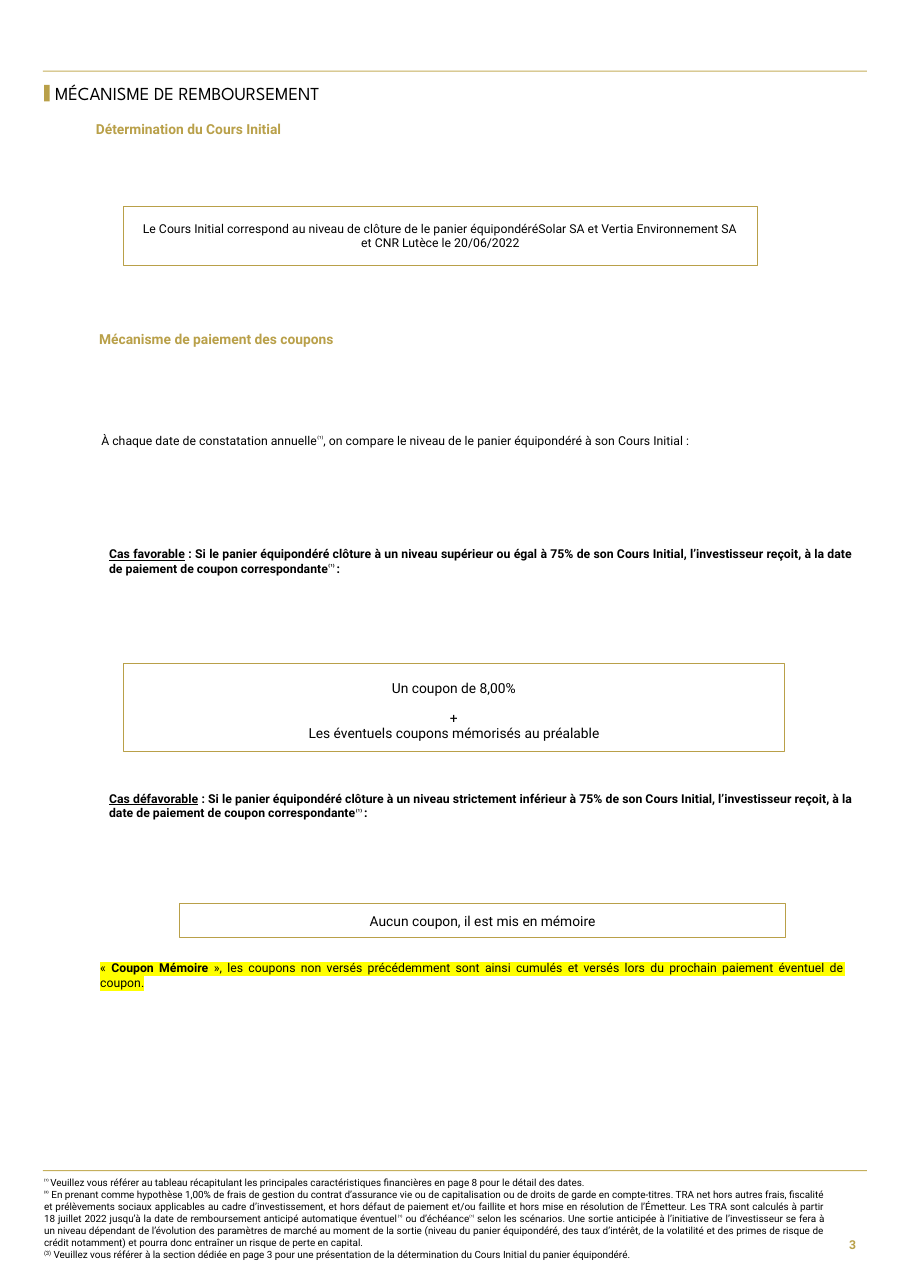
from dataclasses import dataclass

from lxml.etree import SubElement
from pptx import Presentation
from pptx.dml.color import RGBColor
from pptx.enum.shapes import MSO_SHAPE
from pptx.enum.text import MSO_ANCHOR as Anchor, MSO_AUTO_SIZE, PP_ALIGN as Align
from pptx.oxml.ns import qn
from pptx.util import Emu, Pt

PX = 9144
GOLD = RGBColor(0xB9, 0xA0, 0x49)
PALE_GOLD = RGBColor(0xC5, 0xAF, 0x5C)
BLACK = RGBColor(0, 0, 0)
WHITE = RGBColor(255, 255, 255)
YELLOW = RGBColor(255, 255, 0)


@dataclass(frozen=True)
class Span:
    text: str
    bold: bool = False
    underline: bool = False
    raised: bool = False


@dataclass(frozen=True)
class Bar:
    place: tuple[int, int, int, int]
    color: RGBColor


@dataclass(frozen=True)
class Block:
    place: tuple[int, int, int, int]
    paragraphs: list[list[Span]]
    size: float = 8
    color: RGBColor = BLACK
    font: str = "Roboto"
    align: Align = Align.JUSTIFY
    anchor: Anchor = Anchor.TOP
    margins: tuple[int, int, int, int] = (0, 0, 0, 0)
    line_spacing: float = 1.0
    gaps: tuple[int, ...] = ()
    border: float = 0
    highlight: RGBColor | None = None


def scaled(lengths: tuple[int, ...]) -> list[Emu]:
    """Turn px lengths into EMU."""
    return [Emu(length * PX) for length in lengths]


def note(text: str = "⁽¹⁾") -> Span:
    """Return a raised footnote mark."""
    return Span(text, raised=True)


def case(name: str, condition: str) -> list[list[Span]]:
    """Return the sentence that introduces one coupon case."""
    sentence = (f" : Si le panier équipondéré clôture à un niveau {condition} à 75% de son Cours Initial, "
                "l’investisseur reçoit, à la date de paiement de coupon correspondante")
    return [[Span(name, bold=True, underline=True), Span(sentence, bold=True),
             Span("⁽¹⁾ ", bold=True, raised=True), Span(":", bold=True)]]


def framed(place: tuple[int, int, int, int], texts: list[str], size: float = 9, border: float = 0.75,
           margins: tuple[int, int, int, int] = (12, 8, 12, 8), line_spacing: float = 1.0,
           gaps: tuple[int, ...] = ()) -> Block:
    """Return a centred block with a gold border."""
    return Block(place, [[Span(text)] for text in texts], size, align=Align.CENTER, anchor=Anchor.MIDDLE,
                 margins=margins, line_spacing=line_spacing, gaps=gaps, border=border)


BARS = [
    Bar((39, 64, 748, 1), PALE_GOLD),
    Bar((39, 1062, 748, 1), PALE_GOLD),
    Bar((40, 77, 5, 15), GOLD),
]

FOOTNOTES = [
    [note("⁽¹⁾ "), Span("Veuillez vous référer au tableau récapitulant les principales caractéristiques "
                        "financières en page 8 pour le détail des dates.")],
    [note("⁽²⁾"),
     Span(" En prenant comme hypothèse 1,00% de frais de gestion du contrat d’assurance vie ou de "
          "capitalisation ou de droits de garde en compte-titres. TRA net hors autres frais, fiscalité et "
          "prélèvements sociaux applicables au cadre d’investissement, et hors défaut de paiement et/ou "
          "faillite et hors mise en résolution de l’Émetteur. Les TRA sont calculés à partir 18 juillet 2022 "
          "jusqu’à la date de remboursement anticipé automatique éventuel"),
     note(), Span(" ou d’échéance"), note(),
     Span(" selon les scénarios. Une sortie anticipée à l’initiative de l’investisseur se fera à un niveau "
          "dépendant de l’évolution des paramètres de marché au moment de la sortie (niveau du panier "
          "équipondéré, des taux d’intérêt, de la volatilité et des primes de risque de crédit notamment) "
          "et pourra donc entraîner un risque de perte en capital.")],
    [note("(3)"), Span(" Veuillez vous référer à la section dédiée en page 3 pour une présentation de la "
                       "détermination du Cours Initial du panier équipondéré.")],
]

BLOCKS = [
    Block((748, 1109, 39, 42), [[Span("3", bold=True)]], color=GOLD, align=Align.RIGHT,
          anchor=Anchor.MIDDLE, margins=(10, 5, 10, 5)),
    Block((40, 1068, 709, 77), FOOTNOTES, 6.5),
    Block((50, 73, 421, 25), [[Span("MÉCANISME DE REMBOURSEMENT")]], 12, font="League Spartan",
          align=Align.LEFT, anchor=Anchor.MIDDLE, line_spacing=0.9),
    Block((87, 110, 298, 18), [[Span("Détermination du Cours Initial", bold=True)]], 9, GOLD,
          align=Align.LEFT),
    framed((112, 187, 576, 54),
           ["Le Cours Initial correspond au niveau de clôture de le panier équipondéréSolar SA et Vertia "
            "Environnement SA et CNR Lutèce le 20/06/2022"], size=8, border=0.5),
    Block((90, 300, 658, 17), [[Span("Mécanisme de paiement des coupons", bold=True)]], 9, GOLD),
    Block((92, 393, 657, 13),
          [[Span("À chaque date de constatation annuelle"), note(),
            Span(", on compare le niveau de le panier équipondéré à son Cours Initial :")]]),
    Block((99, 496, 676, 27), case("Cas favorable", "supérieur ou égal")),
    framed((112, 602, 600, 80), ["Un coupon de 8,00%", "+", "Les éventuels coupons mémorisés au préalable"],
           margins=(12, 15, 12, 8), line_spacing=0.9, gaps=(0, 10, 0)),
    Block((99, 718, 676, 27), case("Cas défavorable", "strictement inférieur")),
    framed((163, 820, 550, 31), ["Aucun coupon, il est mis en mémoire"]),
    Block((91, 872, 676, 27),
          [[Span("« "), Span("Coupon Mémoire ", bold=True),
            Span("», les coupons non versés précédemment sont ainsi cumulés et versés lors du prochain "
                 "paiement éventuel de coupon.")]], highlight=YELLOW),
]


def add_bar(slide, bar: Bar) -> None:
    """Draw a filled bar."""
    shape = slide.shapes.add_shape(MSO_SHAPE.RECTANGLE, *scaled(bar.place))
    shape.shadow.inherit = False
    shape.fill.solid()
    shape.fill.fore_color.rgb = bar.color
    shape.line.fill.background()


def add_span(paragraph, span: Span, block: Block) -> None:
    """Add one formatted run to a paragraph."""
    run = paragraph.add_run()
    run.text = span.text
    formats = {"name": block.font, "size": Pt(block.size), "bold": span.bold, "underline": span.underline}
    for attribute, value in formats.items():
        setattr(run.font, attribute, value)
    run.font.color.rgb = block.color
    properties = run._r.get_or_add_rPr()
    if span.raised:
        properties.set("baseline", "30000")
    if block.highlight is not None:
        highlight = SubElement(properties, qn("a:highlight"))
        SubElement(highlight, qn("a:srgbClr"), val=str(block.highlight))
        properties.find(qn("a:solidFill")).addnext(highlight)


def add_block(slide, block: Block) -> None:
    """Draw a text block, framed if it has a border."""
    if block.border:
        shape = slide.shapes.add_shape(MSO_SHAPE.RECTANGLE, *scaled(block.place))
        shape.shadow.inherit = False
        shape.fill.solid()
        shape.fill.fore_color.rgb = WHITE
        shape.line.color.rgb = GOLD
        shape.line.width = Pt(block.border)
    else:
        shape = slide.shapes.add_textbox(*scaled(block.place))
    frame = shape.text_frame
    left, top, right, bottom = scaled(block.margins)
    formats = {"word_wrap": True, "auto_size": MSO_AUTO_SIZE.NONE, "vertical_anchor": block.anchor,
               "margin_left": left, "margin_top": top, "margin_right": right, "margin_bottom": bottom}
    for attribute, value in formats.items():
        setattr(frame, attribute, value)
    for index, spans in enumerate(block.paragraphs):
        paragraph = frame.add_paragraph() if index else frame.paragraphs[0]
        paragraph.alignment = block.align
        paragraph.line_spacing = block.line_spacing
        if block.gaps and block.gaps[index]:
            paragraph.space_before = Pt(block.gaps[index])
        for span in spans:
            add_span(paragraph, span, block)


def main() -> None:
    """Build the redemption mechanism slide."""
    presentation = Presentation()
    presentation.slide_width, presentation.slide_height = scaled((827, 1169))
    slide = presentation.slides.add_slide(presentation.slide_layouts[6])
    for bar in BARS:
        add_bar(slide, bar)
    for block in BLOCKS:
        add_block(slide, block)
    presentation.save("out.pptx")


if __name__ == "__main__":
    main()
